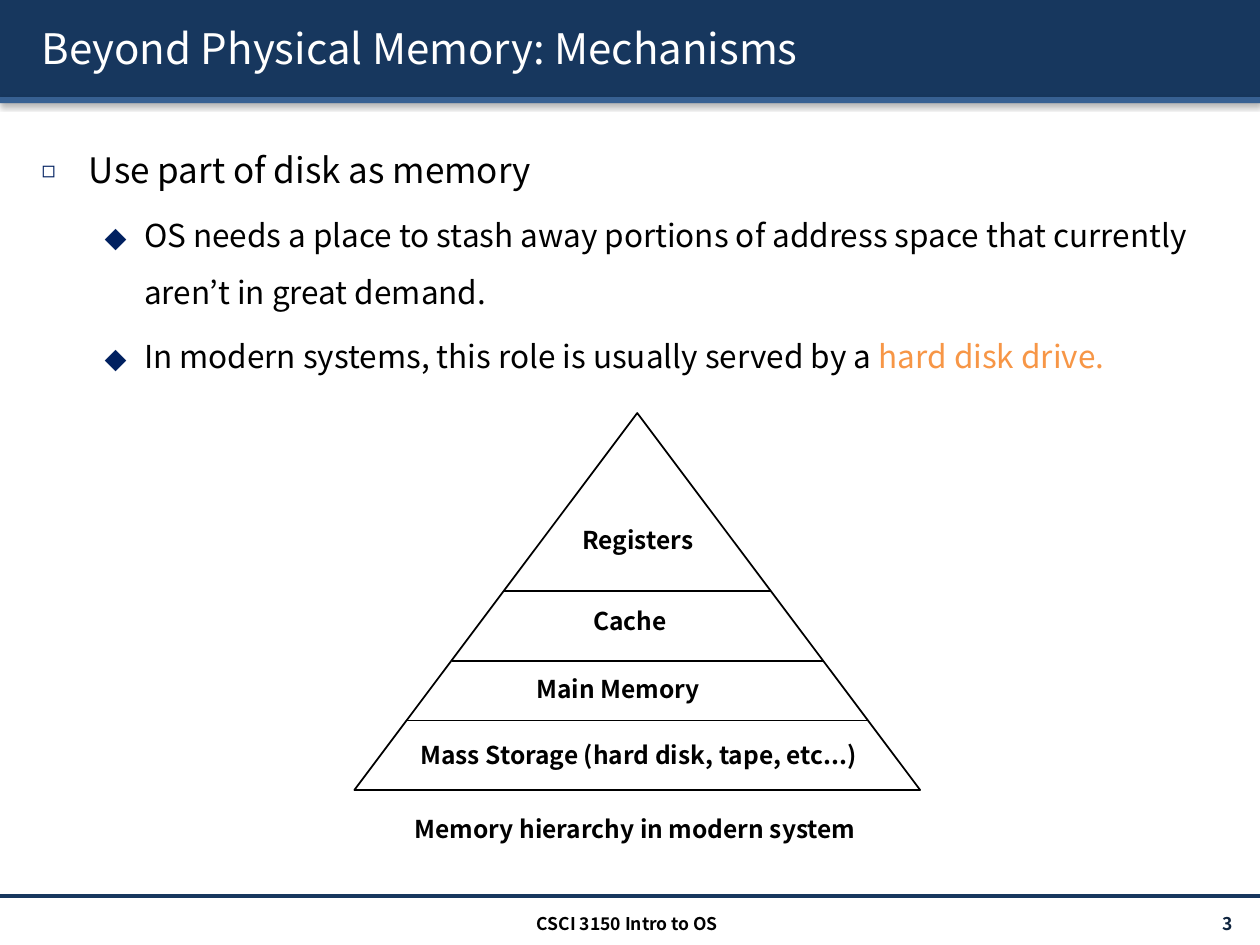
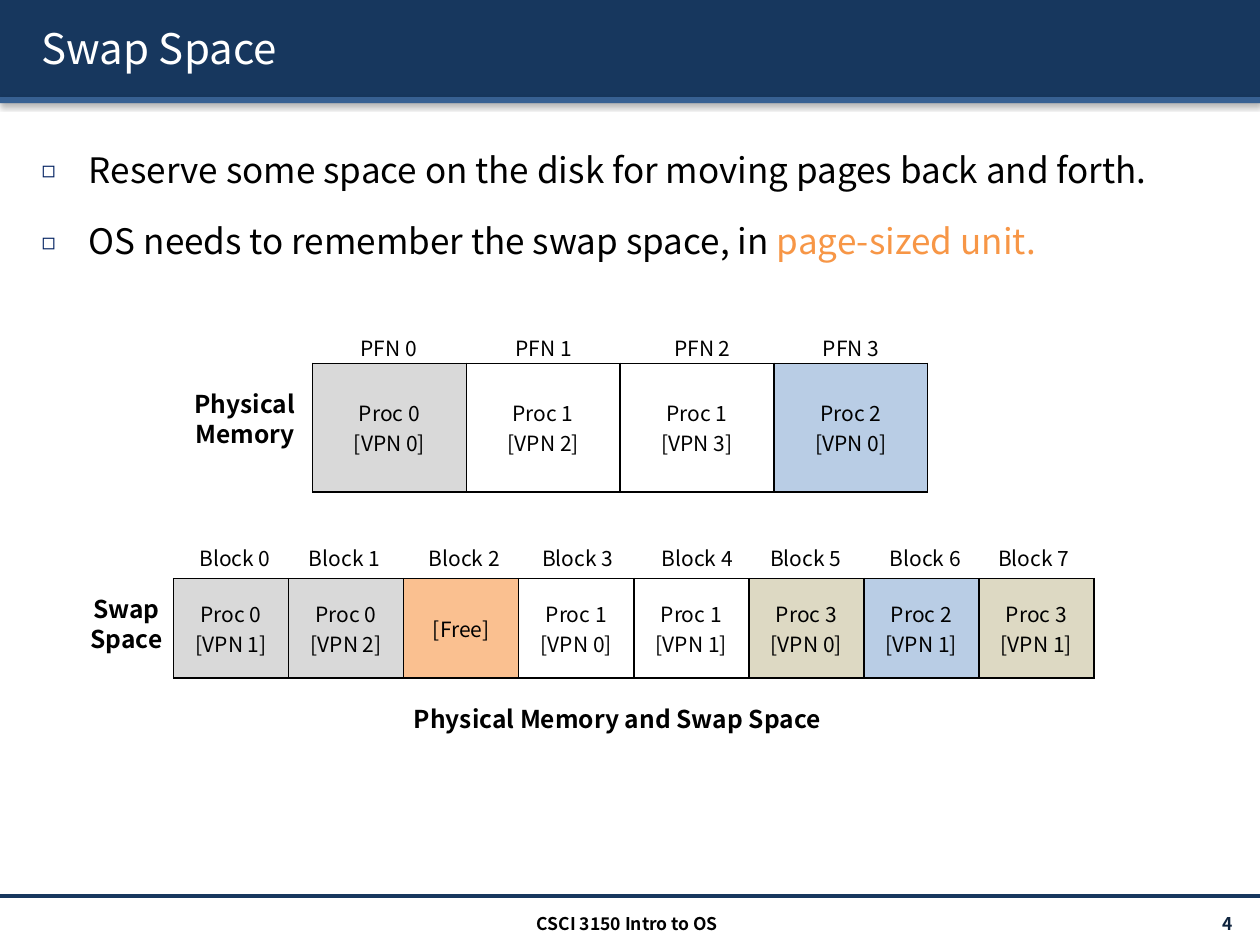
"""Builds two slides on memory hierarchy and swap space."""
import lxml.etree
import pptx
import pptx.dml.color
import pptx.enum.shapes
import pptx.enum.text
import pptx.oxml.ns
import pptx.util

Pt = pptx.util.Pt
RGBColor = pptx.dml.color.RGBColor
Align = pptx.enum.text.PP_ALIGN
Anchor = pptx.enum.text.MSO_ANCHOR
Shape = pptx.enum.shapes.MSO_SHAPE

FONT = "Noto Sans CJK KR"
NAVY = RGBColor(0x17, 0x37, 0x5E)
STEEL = RGBColor(0x37, 0x60, 0x92)
BULLET = RGBColor(0x00, 0x20, 0x60)
NUMBER = RGBColor(0x0F, 0x24, 0x3E)
ACCENT = RGBColor(0xF7, 0x96, 0x46)
BLACK = RGBColor(0, 0, 0)
WHITE = RGBColor(0xFF, 0xFF, 0xFF)
GRAY = RGBColor(0xD9, 0xD9, 0xD9)
BLUE = RGBColor(0xB9, 0xCD, 0xE5)
PEACH = RGBColor(0xFA, 0xC0, 0x90)
TAN = RGBColor(0xDD, 0xD9, 0xC3)

BULLETS = [
    {"size": 20, "left": 27, "hang": 27, "before": 4.74, "char": "◻", "percent": 65},
    {"size": 18, "left": 58.5, "hang": 22.5, "before": 4.27, "char": "⬥", "percent": 100},
]


def add_node(parent, tag, **attributes):
    """Append a drawing element and return it."""
    node = lxml.etree.SubElement(parent, pptx.oxml.ns.qn(tag))
    for name, value in attributes.items():
        node.set(name, str(value))
    return node


def add_shadow(effects, blur, distance, angle, alpha):
    """Add a black outer shadow to an effect list."""
    shadow = add_node(effects, "a:outerShdw", blurRad=Pt(blur), dist=Pt(distance),
                      dir=angle * 60000, algn="tl", rotWithShape=0)
    color = add_node(shadow, "a:srgbClr", val=BLACK)
    add_node(color, "a:alpha", val=alpha * 1000)


def write(para, text, size=12, color=BLACK, bold=False, align=None):
    """Add formatted text to a paragraph and return its span."""
    if align is not None:
        para.alignment = align
    span = para.add_run()
    span.text = text
    span.font.name = FONT
    span.font.size = Pt(size)
    span.font.bold = bold
    span.font.color.rgb = color
    return span


def write_lines(frame, text, **style):
    """Write each line of text as its own paragraph."""
    for index, line in enumerate(text.split("\n")):
        para = frame.add_paragraph() if index else frame.paragraphs[0]
        write(para, line, **style)


class SlideBuilder:
    """Holds the deck style and the current slide."""

    def __init__(self):
        """Start an empty deck of 10 by 7.5 inches."""
        self.deck = pptx.Presentation()
        self.deck.slide_width = Pt(720)
        self.deck.slide_height = Pt(540)
        self.page = None

    def start(self, title, number):
        """Add a slide with its bands, title and footer."""
        self.page = self.deck.slides.add_slide(self.deck.slide_layouts[1])
        for top, height, color in ((0, 55.5, NAVY), (55.5, 3.5, STEEL)):
            band = self.shape(Shape.RECTANGLE, 0, top, 720, height, color)
            effects = band._element.spPr.find(pptx.oxml.ns.qn("a:effectLst"))
            add_shadow(effects, 3.1, 1.6, 90, 38)
        self.line(0, 720, 512, NAVY, 2)
        frame = self.placeholder(0, 4.4, 46, Anchor.MIDDLE)
        span = write(frame.paragraphs[0], title, size=24, color=WHITE, align=Align.LEFT)
        effects = lxml.etree.Element(pptx.oxml.ns.qn("a:effectLst"))
        add_shadow(effects, 0, 2, 45, 100)
        span.font._element.find(pptx.oxml.ns.qn("a:solidFill")).addnext(effects)
        self.text(number, 627, 519, 84.3, 17.3, size=10, color=NUMBER, bold=True,
                  align=Align.RIGHT, anchor=Anchor.MIDDLE)
        self.text("CSCI 3150 Intro to OS", 239, 518.4, 239, 17.3, size=10, bold=True)

    def placeholder(self, index, top, height, anchor):
        """Place a template placeholder above the bands and return its frame."""
        box = self.page.placeholders[index]
        box.left, box.top, box.width, box.height = Pt(16.6), Pt(top), Pt(692), Pt(height)
        self.page.shapes._spTree.append(box._element)
        frame = box.text_frame
        frame.auto_size = pptx.enum.text.MSO_AUTO_SIZE.NONE
        frame.vertical_anchor = anchor
        return frame

    def bullets(self, items):
        """Fill the body with (level, text, highlighted text) items."""
        frame = self.placeholder(1, 69, 433.5, Anchor.TOP)
        for index, (level, text, highlight) in enumerate(items):
            para = frame.add_paragraph() if index else frame.paragraphs[0]
            style = BULLETS[level]
            para.level = level
            para.line_spacing = 1.5
            para.space_before = Pt(style["before"] if index else 0)
            props = para._p.get_or_add_pPr()
            props.set("marL", str(Pt(style["left"])))
            props.set("indent", str(-Pt(style["hang"])))
            add_node(add_node(props, "a:buClr"), "a:srgbClr", val=BULLET)
            add_node(props, "a:buSzPct", val=style["percent"] * 1000)
            add_node(props, "a:buFont", typeface=FONT)
            add_node(props, "a:buChar", char=style["char"])
            write(para, text, size=style["size"])
            if highlight:
                write(para, highlight, size=style["size"], color=ACCENT)

    def shape(self, kind, left, top, width, height, fill, outline=None):
        """Add a filled preset shape."""
        shape = self.page.shapes.add_shape(kind, Pt(left), Pt(top), Pt(width), Pt(height))
        shape.shadow.inherit = False
        shape.fill.solid()
        shape.fill.fore_color.rgb = fill
        if outline is None:
            shape.line.fill.background()
        else:
            shape.line.color.rgb = outline
            shape.line.width = Pt(1)
        return shape

    def line(self, start, end, top, color=BLACK, width=1):
        """Add a horizontal line."""
        line = self.page.shapes.add_connector(
            pptx.enum.shapes.MSO_CONNECTOR.STRAIGHT, Pt(start), Pt(top), Pt(end), Pt(top))
        line.line.color.rgb = color
        line.line.width = Pt(width)
        add_node(line._element.spPr, "a:effectLst")

    def text(self, text, left, top, width, height, anchor=Anchor.TOP,
             align=Align.CENTER, **style):
        """Add a wrapped text box."""
        box = self.page.shapes.add_textbox(Pt(left), Pt(top), Pt(width), Pt(height))
        box.text_frame.word_wrap = True
        box.text_frame.vertical_anchor = anchor
        write_lines(box.text_frame, text, align=align, **style)

    def heading(self, text, left, top, width, height=24.5):
        """Add a bold figure label."""
        self.text(text, left, top, width, height, size=14, bold=True)

    def labels(self, name, lefts, top):
        """Add a numbered label above each table column."""
        for index, left in enumerate(lefts):
            self.text(f"{name} {index}", left, top, 127.4, 21.6)

    def table(self, left, top, column_width, height, cells):
        """Add a one-row table of (text, fill) cells."""
        table = self.page.shapes.add_table(
            1, len(cells), Pt(left), Pt(top), Pt(column_width * len(cells)), Pt(height)).table
        table.first_row = table.horz_banding = False
        table.rows[0].height = Pt(height)
        for index, (text, fill) in enumerate(cells):
            table.columns[index].width = Pt(column_width)
            cell = table.cell(0, index)
            cell.vertical_anchor = Anchor.MIDDLE
            props = cell._tc.get_or_add_tcPr()
            for side in "LRTB":
                border = add_node(props, f"a:ln{side}", w=Pt(1))
                add_node(add_node(border, "a:solidFill"), "a:srgbClr", val=BLACK)
            cell.fill.solid()
            cell.fill.fore_color.rgb = fill
            write_lines(cell.text_frame, text, align=Align.CENTER)


def build_mechanisms(builder):
    """Build the memory hierarchy slide."""
    builder.start("Beyond Physical Memory: Mechanisms", "3")
    builder.bullets([
        (0, "Use part of disk as memory", ""),
        (1, "OS needs a place to stash away portions of address space that currently "
            "aren’t in great demand.", ""),
        (1, "In modern systems, this role is usually served by a ", "hard disk drive."),
    ])
    builder.shape(Shape.ISOSCELES_TRIANGLE, 202.5, 236, 323.3, 215.4, WHITE, BLACK)
    for start, end, top in ((288, 440.6, 337.8), (258.3, 470.2, 377.8), (232.7, 496, 411.7)):
        builder.line(start, end, top)
    for text, left, top in (
        ("Registers", 203.6, 296.6),
        ("Cache", 199.2, 342.9),
        ("Main Memory", 192.3, 381.7),
        ("Mass Storage (hard disk, tape, etc...)", 204.2, 419.5),
        ("Memory hierarchy in modern system", 202.2, 461.4),
    ):
        builder.heading(text, left, top, 321.8)


def build_swap_space(builder):
    """Build the swap space slide."""
    builder.start("Swap Space", "4")
    builder.bullets([
        (0, "Reserve some space on the disk for moving pages back and forth.", ""),
        (0, "OS needs to remember the swap space, in ", "page-sized unit."),
    ])
    builder.table(178.6, 207.6, 87.9, 73.5, [
        ("Proc 0\n[VPN 0]", GRAY),
        ("Proc 1\n[VPN 2]", WHITE),
        ("Proc 1\n[VPN 3]", WHITE),
        ("Proc 2\n[VPN 0]", BLUE),
    ])
    builder.heading("Physical\nMemory", 76.3, 218.9, 127.4, 41)
    builder.labels("PFN", (158.4, 247, 337.7, 422.6), 188)
    builder.table(99.2, 330.6, 65.75, 56.7, [
        ("Proc 0\n[VPN 1]", GRAY),
        ("Proc 0\n[VPN 2]", GRAY),
        ("[Free]", PEACH),
        ("Proc 1\n[VPN 0]", WHITE),
        ("Proc 1\n[VPN 1]", WHITE),
        ("Proc 3\n[VPN 0]", TAN),
        ("Proc 2\n[VPN 1]", BLUE),
        ("Proc 3\n[VPN 1]", TAN),
    ])
    builder.heading("Swap\nSpace", 8.6, 336.2, 127.4, 41)
    builder.labels("Block", (70.6, 133.2, 201.6, 266.4, 334.8, 396.7, 465.1, 527), 308.2)
    builder.heading("Physical Memory and Swap Space", 212.4, 398.9, 280.8)


def main():
    """Build and save the deck."""
    builder = SlideBuilder()
    build_mechanisms(builder)
    build_swap_space(builder)
    builder.deck.save("out.pptx")


if __name__ == "__main__":
    main()
